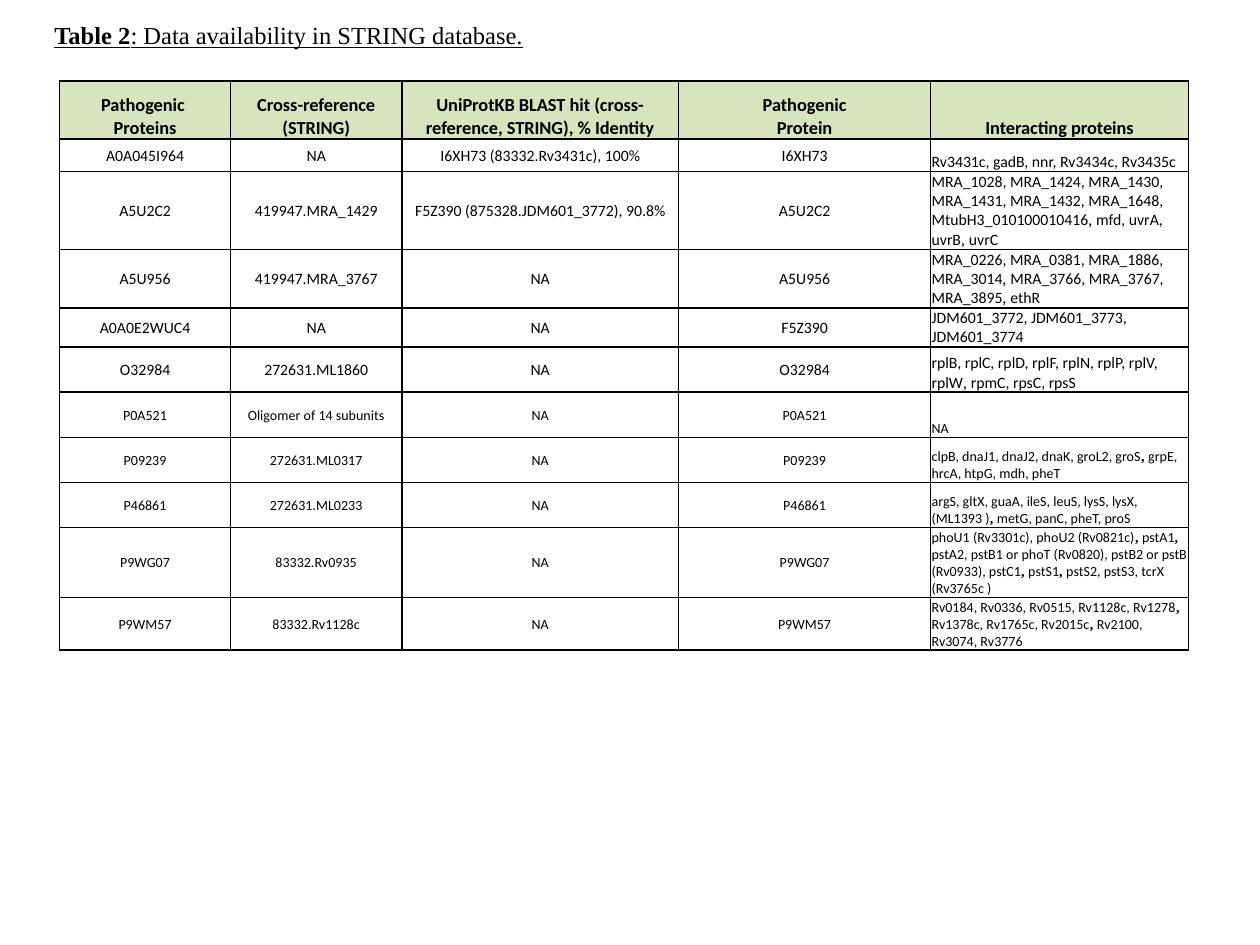
import pptx
import pptx.util
import pptx.dml.color
import pptx.enum.text
import pptx.oxml
import pptx.oxml.ns
from dataclasses import dataclass

Cm, Pt = pptx.util.Cm, pptx.util.Pt
RGB = pptx.dml.color.RGBColor
ALIGN = pptx.enum.text.PP_ALIGN
ANCHOR = pptx.enum.text.MSO_ANCHOR


@dataclass(frozen=True)
class Theme:
    ink: str = "000000"
    header_fill: str = "D7E4BD"
    serif: str = "Times New Roman"
    sans: str = "Calibri"
    title: float = 14
    header: float = 10.5
    body: float = 9
    small: float = 8
    border: float = 1


THEME = Theme()

TITLE = [("Table 2", True), (": Data availability in STRING database.", False)]

# Each header is a list of paragraphs.
HEADERS = [
    ["Pathogenic ", "Proteins"],
    ["Cross-reference (STRING)"],
    ["UniProtKB BLAST hit (cross-reference, STRING), % Identity"],
    ["Pathogenic", "Protein"],
    ["Interacting proteins"],
]

# Interacting proteins are groups, joined by a serif comma.
BODY_ROWS = [
    ("A0A045I964", "NA", "I6XH73 (83332.Rv3431c), 100%", "I6XH73",
     ["Rv3431c, gadB, nnr, Rv3434c, Rv3435c"]),
    ("A5U2C2", "419947.MRA_1429", "F5Z390 (875328.JDM601_3772), 90.8%", "A5U2C2",
     ["MRA_1028, MRA_1424, MRA_1430, MRA_1431, MRA_1432, MRA_1648, MtubH3_010100010416",
      "mfd, uvrA, uvrB", "uvrC"]),
    ("A5U956", "419947.MRA_3767", "NA", "A5U956",
     ["MRA_0226, MRA_0381, MRA_1886, MRA_3014", "MRA_3766, MRA_3767, MRA_3895", "ethR"]),
    ("A0A0E2WUC4", "NA", "NA", "F5Z390",
     ["JDM601_3772, JDM601_3773, JDM601_3774"]),
    ("O32984", "272631.ML1860", "NA", "O32984",
     ["rplB, rplC, rplD, rplF, rplN, rplP, rplV, rplW", "rpmC, rpsC, rpsS"]),
]
SMALL_ROWS = [
    ("P0A521", "Oligomer of 14 subunits", "NA", "P0A521", ["NA"]),
    ("P09239", "272631.ML0317", "NA", "P09239",
     ["clpB, dnaJ1, dnaJ2, dnaK, groL2, groS", "grpE, hrcA, htpG, mdh, pheT"]),
    ("P46861", "272631.ML0233", "NA", "P46861",
     ["argS, gltX, guaA, ileS, leuS, lysS, lysX, (ML1393 )", "metG, panC, pheT, proS"]),
    ("P9WG07", "83332.Rv0935", "NA", "P9WG07",
     ["phoU1 (Rv3301c), phoU2 (Rv0821c)", "pstA1",
      "pstA2, pstB1 or phoT (Rv0820), pstB2 or pstB (Rv0933), pstC1", "pstS1",
      "pstS2, pstS3, tcrX (Rv3765c )"]),
    ("P9WM57", "83332.Rv1128c", "NA", "P9WM57",
     ["Rv0184, Rv0336, Rv0515, Rv1128c, Rv1278", "Rv1378c, Rv1765c, Rv2015c",
      "Rv2100, Rv3074, Rv3776"]),
]

COL_WIDTHS = [3.45, 3.45, 5.58, 5.08, 5.2]
ROW_HEIGHTS = [1.17, 0.66, 0.91, 1.04, 0.76] + [0.91] * 6


def add_run(p, text, size, font=THEME.sans, bold=False):
    r = p.add_run()
    r.text = text
    r.font.name, r.font.size, r.font.bold = font, Pt(size), bold
    r.font.color.rgb = RGB.from_string(THEME.ink)
    return r


def add_borders(cell):
    tc_pr = cell._tc.get_or_add_tcPr()
    for i, side in enumerate(("lnL", "lnR", "lnT", "lnB")):
        tc_pr.insert(i, pptx.oxml.parse_xml(
            f'<a:{side} {pptx.oxml.ns.nsdecls("a")} w="{Pt(THEME.border)}">'
            f'<a:solidFill><a:srgbClr val="{THEME.ink}"/></a:solidFill></a:{side}>'))


def format_cell(cell, anchor, fill=None):
    cell.vertical_anchor = anchor
    cell.margin_left = cell.margin_right = cell.margin_top = Cm(0.02)
    cell.margin_bottom = 0
    if fill:
        cell.fill.solid()
        cell.fill.fore_color.rgb = RGB.from_string(fill)
    else:
        cell.fill.background()
    add_borders(cell)


def fill_header(cell, lines):
    format_cell(cell, ANCHOR.BOTTOM, THEME.header_fill)
    tf = cell.text_frame
    for i, line in enumerate(lines):
        p = tf.add_paragraph() if i else tf.paragraphs[0]
        p.alignment = ALIGN.CENTER
        add_run(p, line, THEME.header, bold=True)


def fill_value(cell, text, size):
    format_cell(cell, ANCHOR.MIDDLE)
    p = cell.text_frame.paragraphs[0]
    p.alignment = ALIGN.CENTER
    add_run(p, text, size)


def fill_interactions(cell, groups, size):
    format_cell(cell, ANCHOR.BOTTOM)
    p = cell.text_frame.paragraphs[0]
    p.alignment = ALIGN.LEFT
    for i, group in enumerate(groups):
        if i:
            add_run(p, ", ", size, THEME.serif, bold=size == THEME.small)
        add_run(p, group, size)


def add_title(s):
    sp = s.shapes.title
    sp.left, sp.top, sp.width, sp.height = Cm(0.84), Cm(0.28), Cm(16.87), Cm(0.86)
    tf = sp.text_frame
    tf.word_wrap = True
    tf.auto_size = pptx.enum.text.MSO_AUTO_SIZE.NONE
    tf.vertical_anchor = ANCHOR.TOP
    p = tf.paragraphs[0]
    p.alignment = ALIGN.JUSTIFY
    for text, bold in TITLE:
        add_run(p, text, THEME.title, THEME.serif, bold).font.underline = True


def add_protein_table(s):
    table = s.shapes.add_table(
        len(ROW_HEIGHTS), len(COL_WIDTHS), Cm(1.2), Cm(1.63),
        Cm(sum(COL_WIDTHS)), Cm(sum(ROW_HEIGHTS))).table
    table.first_row = table.horz_banding = False
    for col, width in zip(table.columns, COL_WIDTHS):
        col.width = Cm(width)
    for row, height in zip(table.rows, ROW_HEIGHTS):
        row.height = Cm(height)
    for c, lines in enumerate(HEADERS):
        fill_header(table.cell(0, c), lines)
    sized_rows = ([(row, THEME.body) for row in BODY_ROWS]
                  + [(row, THEME.small) for row in SMALL_ROWS])
    for r, ((*values, groups), size) in enumerate(sized_rows, start=1):
        for c, value in enumerate(values):
            fill_value(table.cell(r, c), value, size)
        fill_interactions(table.cell(r, len(values)), groups, size)


def main():
    prs = pptx.Presentation()
    prs.slide_width, prs.slide_height = Cm(25.4), Cm(19.05)
    s = prs.slides.add_slide(prs.slide_layouts.get_by_name("Title Only"))
    add_title(s)
    add_protein_table(s)
    prs.save("out.pptx")


if __name__ == "__main__":
    main()
